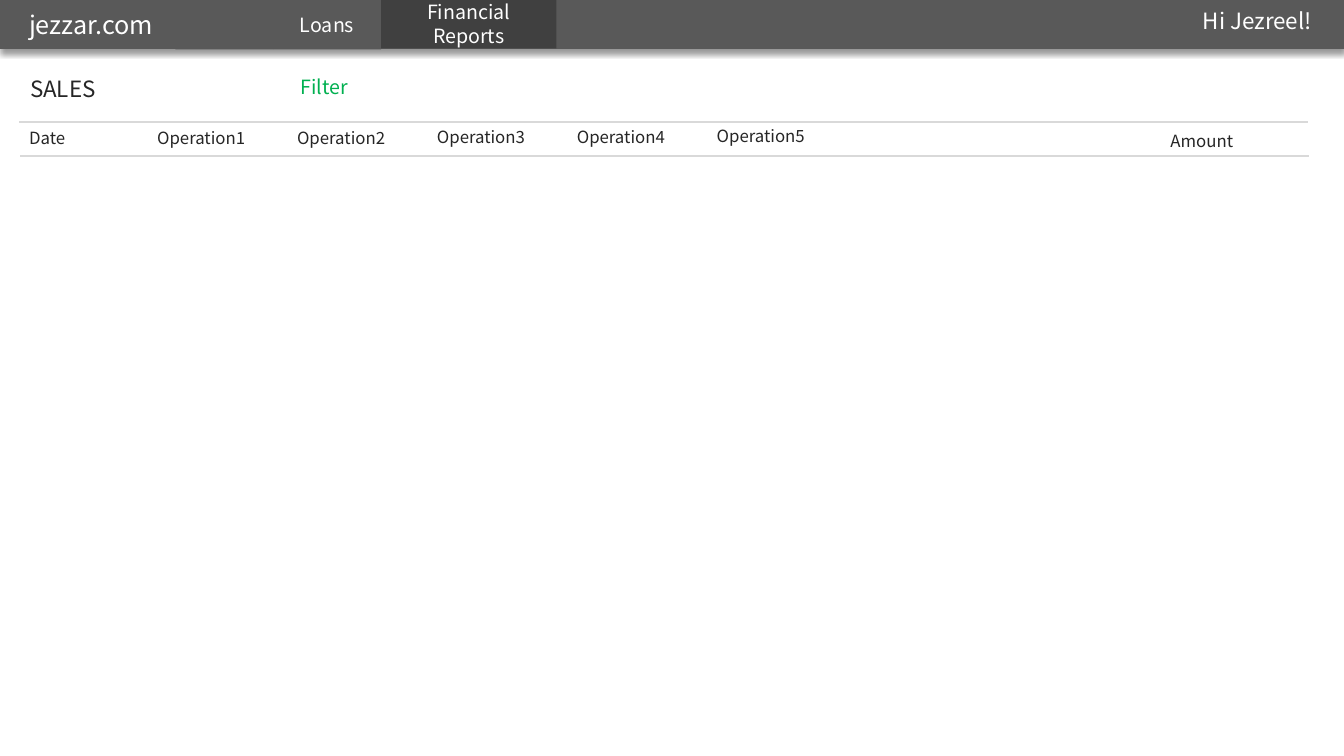
from lxml.etree import SubElement
from pptx import Presentation
from pptx.dml.color import RGBColor
from pptx.enum.shapes import MSO_CONNECTOR, MSO_SHAPE
from pptx.enum.text import MSO_ANCHOR, MSO_AUTO_SIZE, PP_ALIGN
from pptx.oxml.ns import qn
from pptx.util import Inches, Pt

COLORS = {
    "bar": "595959",
    "active": "404040",
    "white": "FFFFFF",
    "ink": "262626",
    "rule": "D9D9D9",
    "filter": "00B050",
    "shadow": "000000",
}
FONT = "Noto Sans CJK JP"
COLUMNS, ROWS = 1333, 750

deck = Presentation()
deck.slide_width, deck.slide_height = Inches(13.33), Inches(7.5)
column, row = deck.slide_width / COLUMNS, deck.slide_height / ROWS
page = deck.slides.add_slide(deck.slide_layouts[6])


def add_block(left, top, width, height, fill):
    block = page.shapes.add_shape(
        MSO_SHAPE.RECTANGLE,
        round(left * column), round(top * row),
        round(width * column), round(height * row),
    )
    block.shadow.inherit = False
    block.fill.solid()
    block.fill.fore_color.rgb = RGBColor.from_string(COLORS[fill])
    block.line.fill.background()
    return block


def write(box, text, size, color, align=PP_ALIGN.LEFT, anchor=MSO_ANCHOR.TOP):
    frame = box.text_frame
    frame.text = text
    frame.word_wrap = True
    frame.vertical_anchor = anchor
    para = frame.paragraphs[0]
    para.alignment = align
    span = para.runs[0]
    span.font.name = FONT
    span.font.size = Pt(size)
    span.font.color.rgb = RGBColor.from_string(COLORS[color])


top_bar = add_block(0, 0, COLUMNS, 48, "bar")
top_bar.line.color.rgb = RGBColor.from_string(COLORS["bar"])
top_bar.line.width = Pt(1)
effects = top_bar._element.spPr.find(qn("a:effectLst"))
shadow = SubElement(
    effects, qn("a:outerShdw"),
    blurRad=str(Pt(4)), dist=str(Pt(3)), dir="5400000", algn="t", rotWithShape="0",
)
shade = SubElement(shadow, qn("a:srgbClr"), val=COLORS["shadow"])
SubElement(shade, qn("a:alpha"), val="40000")

add_block(174, 1, 97, 48, "bar")
for label, left, top, width, height, fill in [
    ("Loans", 271, 0, 107, 49, "bar"),
    ("Financial Reports", 378, -1, 174, 49, "active"),
]:
    tab = add_block(left, top, width, height, fill)
    write(tab, label, 14, "white", PP_ALIGN.CENTER, MSO_ANCHOR.MIDDLE)

for left, top in [(19, 121), (20, 155)]:
    rule = page.shapes.add_connector(
        MSO_CONNECTOR.STRAIGHT,
        round(left * column), round(top * row),
        round((left + 1278) * column), round(top * row),
    )
    rule.line.color.rgb = RGBColor.from_string(COLORS["rule"])
    rule.line.width = Pt(1.5)
    SubElement(rule._element.spPr, qn("a:effectLst"))

labels = [
    ("jezzar.com", 19, 4, 176, 40, 18, "white", PP_ALIGN.LEFT, MSO_ANCHOR.TOP),
    ("Hi Jezreel!", 1093, 2, 218, 37, 16, "white", PP_ALIGN.RIGHT, MSO_ANCHOR.TOP),
    ("SALES", 20, 70, 218, 37, 16, "ink", PP_ALIGN.LEFT, MSO_ANCHOR.TOP),
    ("Filter", 271, 67, 101, 37, 14, "filter", PP_ALIGN.CENTER, MSO_ANCHOR.MIDDLE),
    ("Date", 19, 122, 100, 30, 12, "ink", PP_ALIGN.LEFT, MSO_ANCHOR.TOP),
    ("Amount", 1151, 125, 152, 30, 12, "ink", PP_ALIGN.LEFT, MSO_ANCHOR.TOP),
]
for index in range(5):
    labels.append((
        f"Operation{index + 1}", 146 + 138.75 * index, 122 - index // 2, 128, 30,
        12, "ink", PP_ALIGN.LEFT, MSO_ANCHOR.TOP,
    ))

for text, left, top, width, height, size, color, align, anchor in labels:
    box = page.shapes.add_textbox(
        round(left * column), round(top * row),
        round(width * column), round(height * row),
    )
    write(box, text, size, color, align, anchor)
    if anchor == MSO_ANCHOR.TOP:
        box.text_frame.auto_size = MSO_AUTO_SIZE.SHAPE_TO_FIT_TEXT

deck.save("out.pptx")
